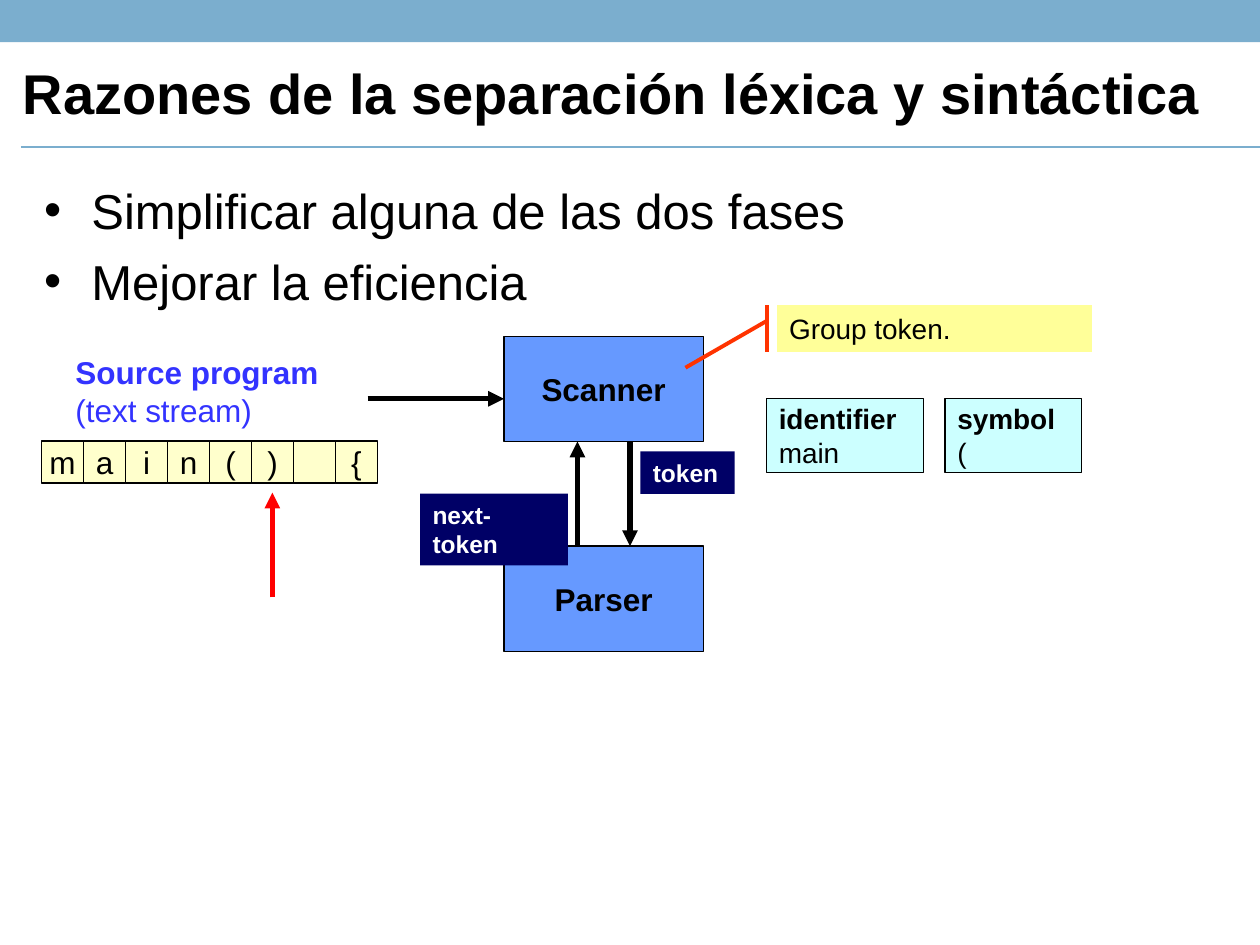
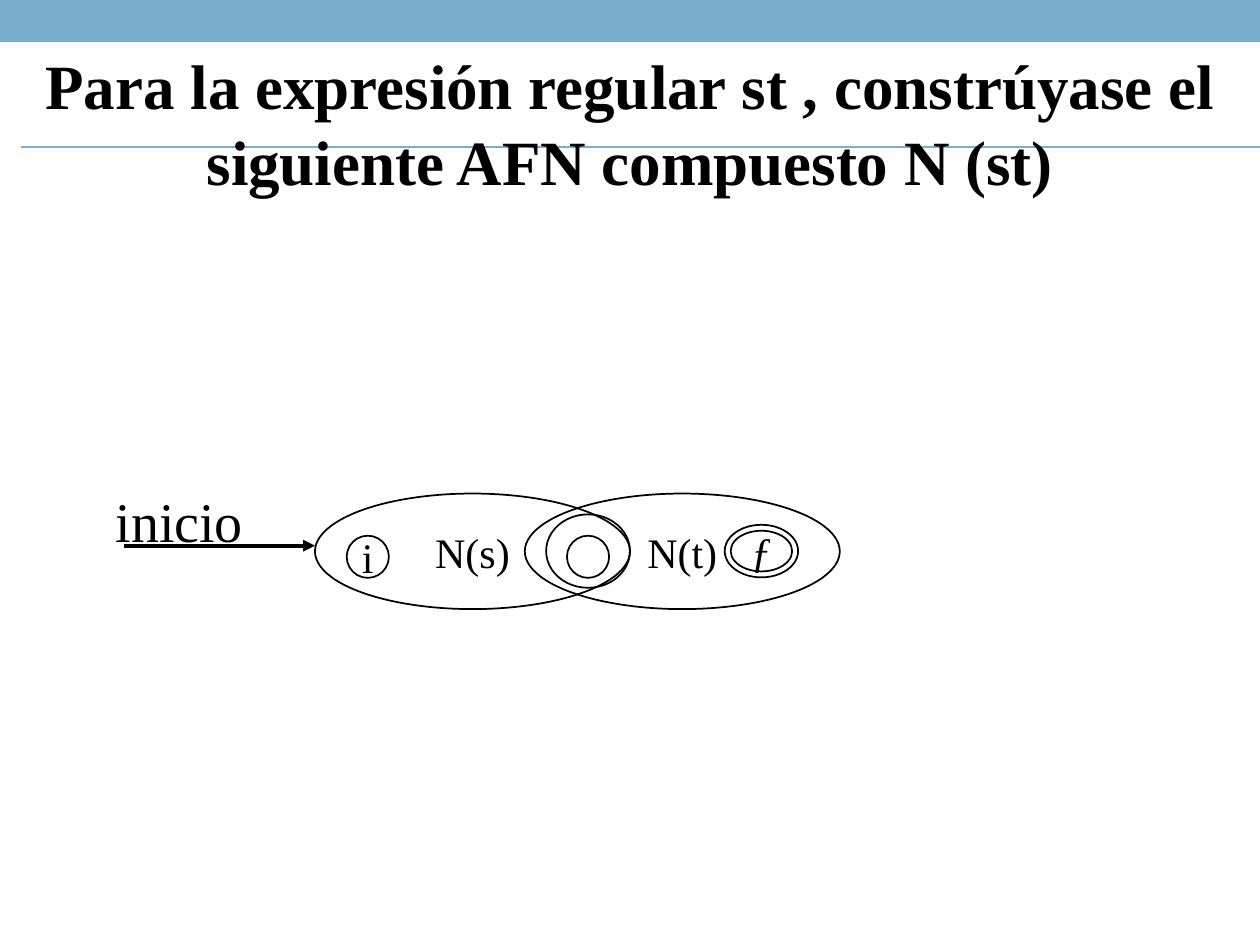
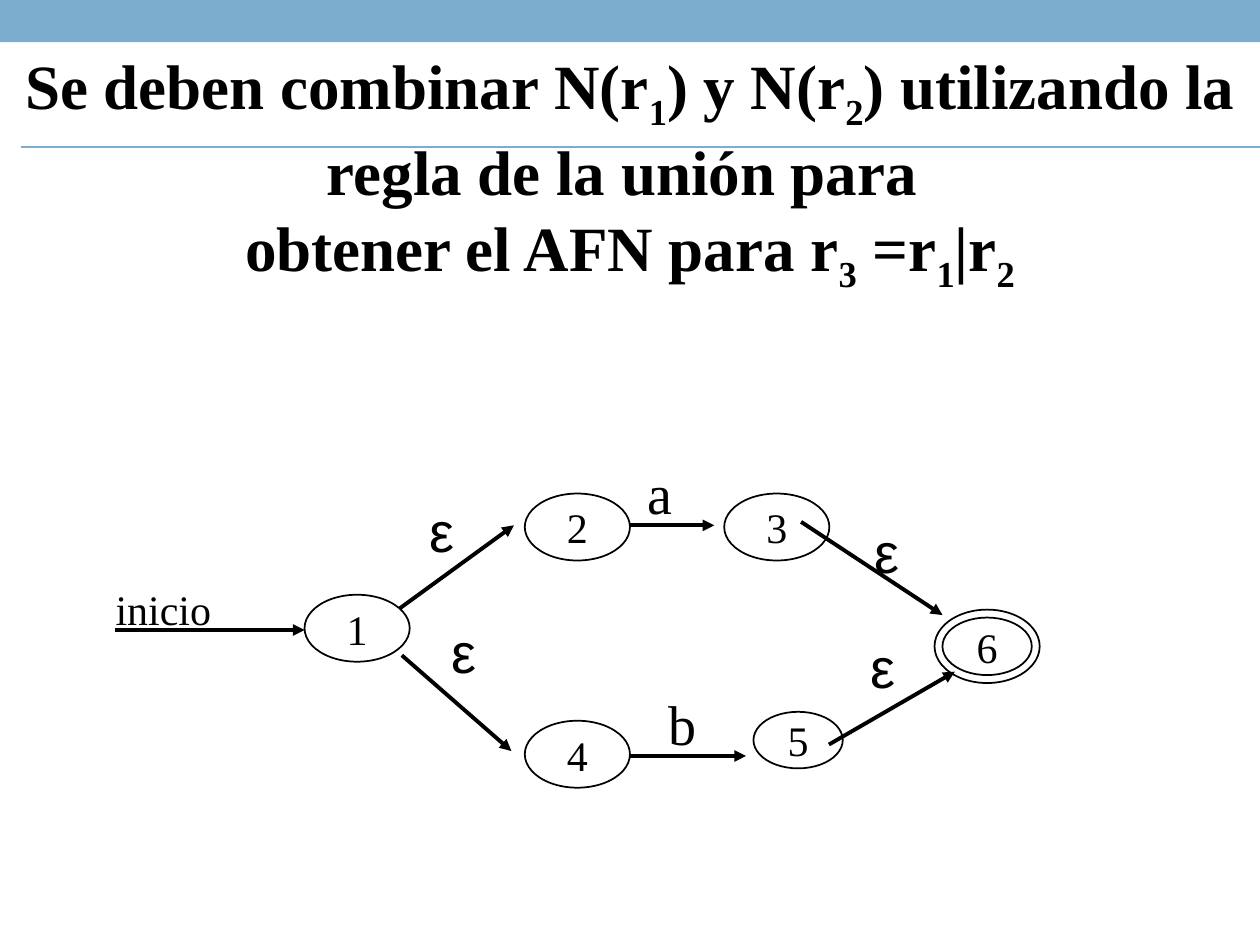
"""Build three slides on lexical analysis and finite automata."""
import pptx
import pptx.dml.color
import pptx.enum.shapes
import pptx.enum.text
import pptx.oxml
import pptx.oxml.ns
import pptx.util

Cm = pptx.util.Cm
Pt = pptx.util.Pt
KIND = pptx.enum.shapes.MSO_SHAPE
ALIGN = pptx.enum.text.PP_ALIGN
ANCHOR = pptx.enum.text.MSO_ANCHOR

HUES = {
    "band": "7BAECE", "ink": "000000", "white": "FFFFFF", "stage": "6699FF",
    "source": "3333FF", "note": "FFFF99", "lead": "FF3300", "call": "000066",
    "cell": "FFFFCC", "token": "CCFFFF", "mark": "FF0000",
}
SANS = {"name": "Arial", "size": Pt(18), "bold": False}
STRONG = {**SANS, "bold": True}
SERIF = {"name": "Times New Roman", "size": Pt(24), "bold": False}
SMALL = {**SANS, "size": Pt(16)}
LARGE = {**SERIF, "size": Pt(32)}
GREEK = {**SANS, "size": Pt(32)}
HEAD = {**SERIF, "size": Pt(36), "bold": True}
MID = {"alignment": ALIGN.CENTER}
LEFT = {"alignment": ALIGN.LEFT}


def paint(hue):
    """Return the colour of a named hue."""
    return pptx.dml.color.RGBColor.from_string(HUES[hue])


def apply(thing, form):
    """Set each format value on an object."""
    for key, value in form.items():
        setattr(thing, key, value)


def place(thing, at):
    """Move and size a shape in centimetres."""
    apply(thing, dict(zip(("left", "top", "width", "height"), map(Cm, at))))


def shift(box, at):
    """Turn a place within a box into a place on the slide."""
    return (box[0] + at[0], box[1] + at[1], *at[2:])


def write(shape, lines, font, hue="ink", para=LEFT, **frame):
    """Fill a shape with lines; text between underscores is subscript."""
    body = shape.text_frame
    apply(body, {"word_wrap": True, "margin_left": Cm(0.25), "margin_right": Cm(0.25),
                 "margin_top": Cm(0.13), "margin_bottom": Cm(0.13),
                 "auto_size": pptx.enum.text.MSO_AUTO_SIZE.NONE, **frame})
    for row, line in enumerate(lines):
        text, change = line if isinstance(line, tuple) else (line, {})
        item = body.add_paragraph() if row else body.paragraphs[0]
        apply(item, para)
        if not row:
            item.space_before = Pt(0)
        for turn, part in enumerate(text.split("_")):
            if not part:
                continue
            run = item.add_run()
            run.text = part
            apply(run.font, {**font, **change})
            run.font.color.rgb = paint(hue)
            if turn % 2:
                run.font._element.set("baseline", "-25000")


def draw(slide, at, kind=KIND.RECTANGLE, fill=None, edge="ink", width=0.75):
    """Add a plain preset shape."""
    shape = slide.shapes.add_shape(kind, *map(Cm, at))
    shape.shadow.inherit = False
    for part, hue in ((shape.fill, fill), (shape.line.fill, edge)):
        if hue:
            part.solid()
            part.fore_color.rgb = paint(hue)
        else:
            part.background()
    if edge:
        shape.line.width = Pt(width)
    return shape


def label(slide, at, lines, font, hue="ink"):
    """Add a text box."""
    write(slide.shapes.add_textbox(*map(Cm, at)), lines, font, hue)


def link(slide, start, end, hue="ink", width=2.25, head=True):
    """Add a straight line, with an arrowhead if asked."""
    line = slide.shapes.add_connector(
        pptx.enum.shapes.MSO_CONNECTOR.STRAIGHT, *map(Cm, (*start, *end)))
    line.line.color.rgb = paint(hue)
    line.line.width = Pt(width)
    if head:
        tip = pptx.oxml.parse_xml(
            f'<a:tailEnd {pptx.oxml.ns.nsdecls("a")} type="triangle"/>')
        line.line._get_or_add_ln().append(tip)
    line.element.spPr.append(
        pptx.oxml.parse_xml(f'<a:effectLst {pptx.oxml.ns.nsdecls("a")}/>'))
    return line


def state(slide, at, text="", **change):
    """Add an oval state of an automaton."""
    oval = draw(slide, at, KIND.OVAL, width=1)
    if text:
        write(oval, [text], {**SERIF, **change}, para=MID, word_wrap=False,
              vertical_anchor=ANCHOR.MIDDLE)


def final(slide, at, gap, text, **change):
    """Add a final state with a double outline."""
    x, y, wide, high = at
    state(slide, at)
    state(slide, (x + gap, y + gap, wide - 2 * gap, high - 2 * gap), text, **change)


def dress(deck, slide):
    """Put the band and the title rule on the master."""
    parts = (draw(slide, (0, 0, 25.4, 0.85), fill="band", edge=None),
             link(slide, (0.42, 2.96), (25.4, 2.96), "band", 1, False))
    for rank, part in enumerate(parts):
        part.element.xpath("*/p:cNvPr")[0].set("id", str(20 + rank))
        deck.slide_master.shapes.element.insert(2 + rank, part.element)


def banner(slide, lines, high):
    """Fill the centred serif title."""
    title = slide.shapes.title
    place(title, (0, 0.81, 25.4, high))
    write(title, lines, HEAD, para=MID, vertical_anchor=ANCHOR.TOP)


def reasons(slide):
    """Fill the title and the list of reasons."""
    title, body = slide.placeholders
    place(title, (0.21, 0.89, 25.19, 2.12))
    write(title, ["Razones de la separación léxica y sintáctica"],
          {**STRONG, "size": Pt(32)}, para={**LEFT, "line_spacing": 0.9},
          vertical_anchor=ANCHOR.MIDDLE)
    place(body, (0.64, 3.38, 24.13, 14.4))
    write(body, ["Simplificar alguna de las dos fases", "Mejorar la eficiencia"],
          {**SANS, "size": Pt(28)}, para={**LEFT, "space_before": Pt(7)},
          margin_top=Cm(0.25))


def stream(slide, box):
    """Draw the row of source characters."""
    chars = ["m", "a", "i", "n", "(", ")", "", "{"]
    side = box[2] / len(chars)
    for rank, char in enumerate(chars):
        cell = draw(slide, shift(box, (rank * side, 0, side, box[3])), fill="cell")
        if char:
            write(cell, [char], SANS, para=MID, word_wrap=False,
                  vertical_anchor=ANCHOR.MIDDLE)


def phases(slide, box):
    """Draw the scanner and the parser with what they exchange."""
    for name, top in (("Scanner", 0.63), ("Parser", 4.86)):
        stage = draw(slide, shift(box, (9.32, top, 4.02, 2.12)), fill="stage")
        write(stage, [name], STRONG, para=MID, word_wrap=False,
              vertical_anchor=ANCHOR.MIDDLE)
    label(slide, shift(box, (0.43, 0.84, 9.32, 2.54)),
          [("Source program", {"bold": True}), "(text stream)"], SANS, "source")
    for start, end, hue in (
            ((6.57, 1.89), (9.32, 1.89), "ink"), ((11.86, 2.75), (11.86, 4.86), "ink"),
            ((10.8, 4.86), (10.8, 2.75), "ink"), ((4.65, 5.89), (4.65, 3.78), "mark")):
        link(slide, shift(box, start), shift(box, end), hue, 3)
    note = draw(slide, shift(box, (14.82, 0, 6.35, 0.95)),
                KIND.LINE_CALLOUT_1_ACCENT_BAR, "note", "lead", 2.25)
    for rank, value in enumerate((0.33, -0.03, 1.33, -0.29)):
        note.adjustments[rank] = value
    write(note, ["Group token."], SMALL, vertical_anchor=ANCHOR.TOP)
    for text, at in (("next-token", (7.63, 3.8, 2.98, 1.45)),
                     ("token", (12.07, 2.95, 1.9, 0.86))):
        write(draw(slide, shift(box, at), fill="call", edge=None), [text],
              {**STRONG, "size": Pt(14)}, "white", vertical_anchor=ANCHOR.TOP)
    for name, text, left, wide in (("identifier", "main", 14.61, 3.17),
                                   ("symbol", "(", 18.21, 2.75)):
        write(draw(slide, shift(box, (left, 1.89, wide, 1.48)), fill="token"),
              [(name, {"bold": True}), text], SMALL, vertical_anchor=ANCHOR.MIDDLE)
    stream(slide, shift(box, (0, 2.74, 6.77, 0.85)))


def concat(slide, box):
    """Draw the automaton that joins N(s) and N(t)."""
    link(slide, shift(box, (0.42, 1.32)), shift(box, (4.27, 1.32)))
    label(slide, shift(box, (0, 0, 4.6, 1.63)), ["inicio"], LARGE)
    for text, at in (("N(t)", (8.5, 0.27, 6.35, 2.33)), ("N(s)", (4.27, 0.27, 6.35, 2.33)),
                     ("i", (4.91, 1.12, 0.85, 0.85)), ("", (8.93, 0.69, 1.69, 1.48)),
                     ("", (9.35, 1.12, 0.85, 0.85))):
        state(slide, shift(box, at), text)
    final(slide, shift(box, (12.53, 0.9, 1.48, 1.06)), 0.12, "ƒ", italic=True)


def union(slide, box):
    """Draw the automaton for the union of two expressions."""
    label(slide, shift(box, (0, 2.51, 3.56, 1.27)), ["inicio"], SERIF)
    for text, at in (("1", (4.06, 2.87, 2.12, 1.35)), ("2", (8.5, 0.83, 2.12, 1.35)),
                     ("3", (12.52, 0.83, 2.12, 1.35)), ("4", (8.5, 5.41, 2.12, 1.35)),
                     ("5", (13.11, 5.23, 1.8, 1.14))):
        state(slide, shift(box, at), text)
    final(slide, shift(box, (16.76, 3.17, 2.12, 1.48)), 0.16, "6")
    for start, end in (((0.24, 3.58), (4.06, 3.58)), ((5.97, 3.15), (8.28, 1.47)),
                       ((14.63, 5.89), (17.17, 4.42)), ((6.02, 4.09), (8.23, 6.02)),
                       ((14.07, 1.4), (16.92, 3.28)), ((10.62, 1.47), (12.32, 1.47)),
                       ((10.62, 6.12), (12.96, 6.12))):
        link(slide, shift(box, start), shift(box, end))
    for text, font, left, top in (
            ("ε", GREEK, 6.78, 3.2), ("ε", GREEK, 6.33, 0.76), ("ε", GREEK, 15.29, 1.19),
            ("ε", GREEK, 15.22, 3.5), ("b", LARGE, 11.15, 4.65), ("a", LARGE, 10.72, 0)):
        label(slide, shift(box, (left, top, 1.1, 1.63)), [text], font)


def main():
    """Build and save the deck."""
    deck = pptx.Presentation()
    apply(deck, {"slide_width": Cm(25.4), "slide_height": Cm(19.05)})
    first, second, third = (
        deck.slides.add_slide(deck.slide_layouts[rank]) for rank in (1, 5, 5))
    dress(deck, first)
    reasons(first)
    phases(first, (0.84, 6.15, 21.2, 7))
    banner(second, ["Para la expresión regular st , constrúyase el "
                    "siguiente AFN compuesto N (st)"], 4.83)
    concat(second, (2.08, 9.68, 14.85, 2.62))
    banner(third, ["Se deben combinar N(r_1_) y N(r_2_) utilizando la "
                   "regla de la unión para ",
                   "obtener el AFN para r_3_ =r_1_|r_2_"], 6.78)
    union(third, (2.08, 9.12, 18.87, 6.76))
    deck.save("out.pptx")


if __name__ == "__main__":
    main()
